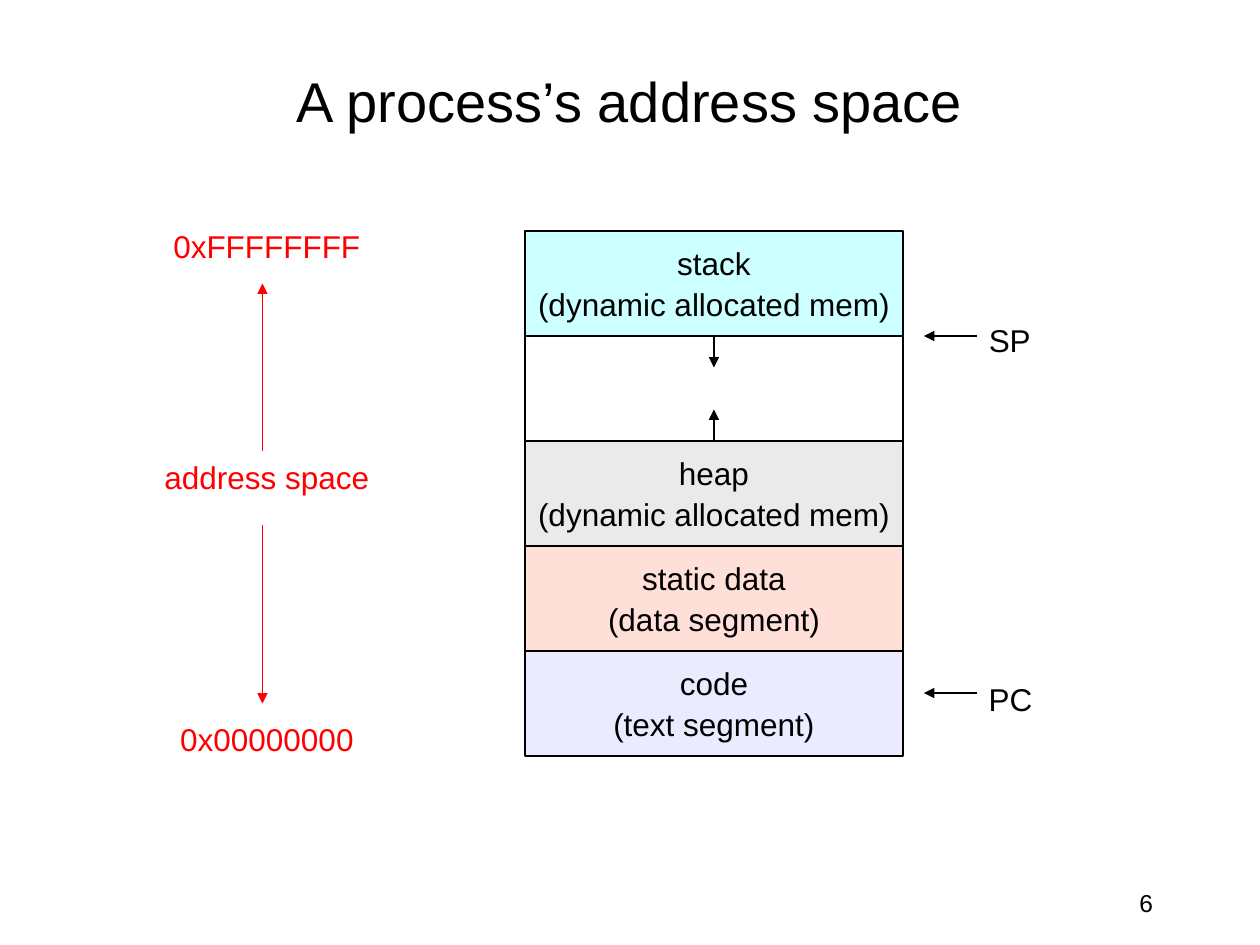
from lxml import etree
from pptx import Presentation
from pptx.dml.color import RGBColor
from pptx.enum.shapes import MSO_CONNECTOR, MSO_SHAPE
from pptx.enum.text import MSO_ANCHOR, MSO_AUTO_SIZE, PP_ALIGN
from pptx.oxml.ns import qn
from pptx.util import Pt

COLORS = {
    "black": "000000",
    "red": "FF0000",
    "stack": "CCFFFF",
    "gap": "FFFFFF",
    "heap": "EAEAEA",
    "static": "FFE0D9",
    "code": "EBEBFF",
}


def write(frame, lines, size=18, color="black", align=PP_ALIGN.CENTER, before=0):
    frame.text = "\n".join(lines)
    for paragraph in frame.paragraphs:
        paragraph.alignment = align
        paragraph.space_before = Pt(before)
        paragraph.font.size = Pt(size)
        paragraph.font.name = "Arial"
        paragraph.font.color.rgb = RGBColor.from_string(COLORS[color])


def add_arrow(x1, y1, x2, y2, color="black"):
    arrow = slide.shapes.add_connector(
        MSO_CONNECTOR.STRAIGHT, Pt(x1), Pt(y1), Pt(x2), Pt(y2))
    arrow.line.color.rgb = RGBColor.from_string(COLORS[color])
    arrow.line.width = Pt(1)
    etree.SubElement(arrow.line._get_or_add_ln(), qn("a:tailEnd"), type="triangle")
    etree.SubElement(arrow._element.spPr, qn("a:effectLst"))


presentation = Presentation()
presentation.slide_width, presentation.slide_height = Pt(720), Pt(540)
slide = presentation.slides.add_slide(presentation.slide_layouts[5])

title = slide.shapes.title
title.left, title.top, title.width, title.height = Pt(54), Pt(30), Pt(612), Pt(54)
title.text_frame.vertical_anchor = MSO_ANCHOR.MIDDLE
write(title.text_frame, ["A process’s address space"], size=32)

segment_left, segment_top, segment_width, segment_height = 300, 132, 216, 60
segments = [
    ("stack", ["stack", "(dynamic allocated mem)"]),
    ("gap", []),
    ("heap", ["heap", "(dynamic allocated mem)"]),
    ("static", ["static data", "(data segment)"]),
    ("code", ["code", "(text segment)"]),
]
for row, (fill, lines) in enumerate(segments):
    segment = slide.shapes.add_shape(
        MSO_SHAPE.RECTANGLE, Pt(segment_left), Pt(segment_top + row * segment_height),
        Pt(segment_width), Pt(segment_height))
    segment.shadow.inherit = False
    segment.fill.solid()
    segment.fill.fore_color.rgb = RGBColor.from_string(COLORS[fill])
    segment.line.color.rgb = RGBColor.from_string(COLORS["black"])
    segment.line.width = Pt(1)
    segment.text_frame.word_wrap = False
    segment.text_frame.vertical_anchor = MSO_ANCHOR.MIDDLE
    if lines:
        write(segment.text_frame, lines, before=2.2)

labels = [
    ("0xFFFFFFFF", 91, 126, 123, "red"),
    ("address space", 86, 258, 133, "red"),
    ("0x00000000", 95, 408, 115, "red"),
    ("SP", 557, 180, 40, "black"),
    ("PC", 557, 385, 41, "black"),
]
for text, left, top, width, color in labels:
    label = slide.shapes.add_textbox(Pt(left), Pt(top), Pt(width), Pt(29))
    label.text_frame.word_wrap = False
    label.text_frame.auto_size = MSO_AUTO_SIZE.SHAPE_TO_FIT_TEXT
    write(label.text_frame, [text], color=color)

space_x = 150
add_arrow(space_x, 258, space_x, 162, "red")
add_arrow(space_x, 300, space_x, 402, "red")

growth_x = segment_left + segment_width / 2
stack_end = segment_top + segment_height
heap_start = stack_end + segment_height
add_arrow(growth_x, stack_end, growth_x, stack_end + 18)
add_arrow(growth_x, heap_start, growth_x, heap_start - 18)

for pointer_y in (stack_end, 396):
    add_arrow(558, pointer_y, 528, pointer_y)

page_number = slide.shapes.add_textbox(Pt(516), Pt(504), Pt(150), Pt(24))
page_number.text_frame.word_wrap = True
write(page_number.text_frame, ["6"], size=14, align=PP_ALIGN.RIGHT)

presentation.save("out.pptx")
